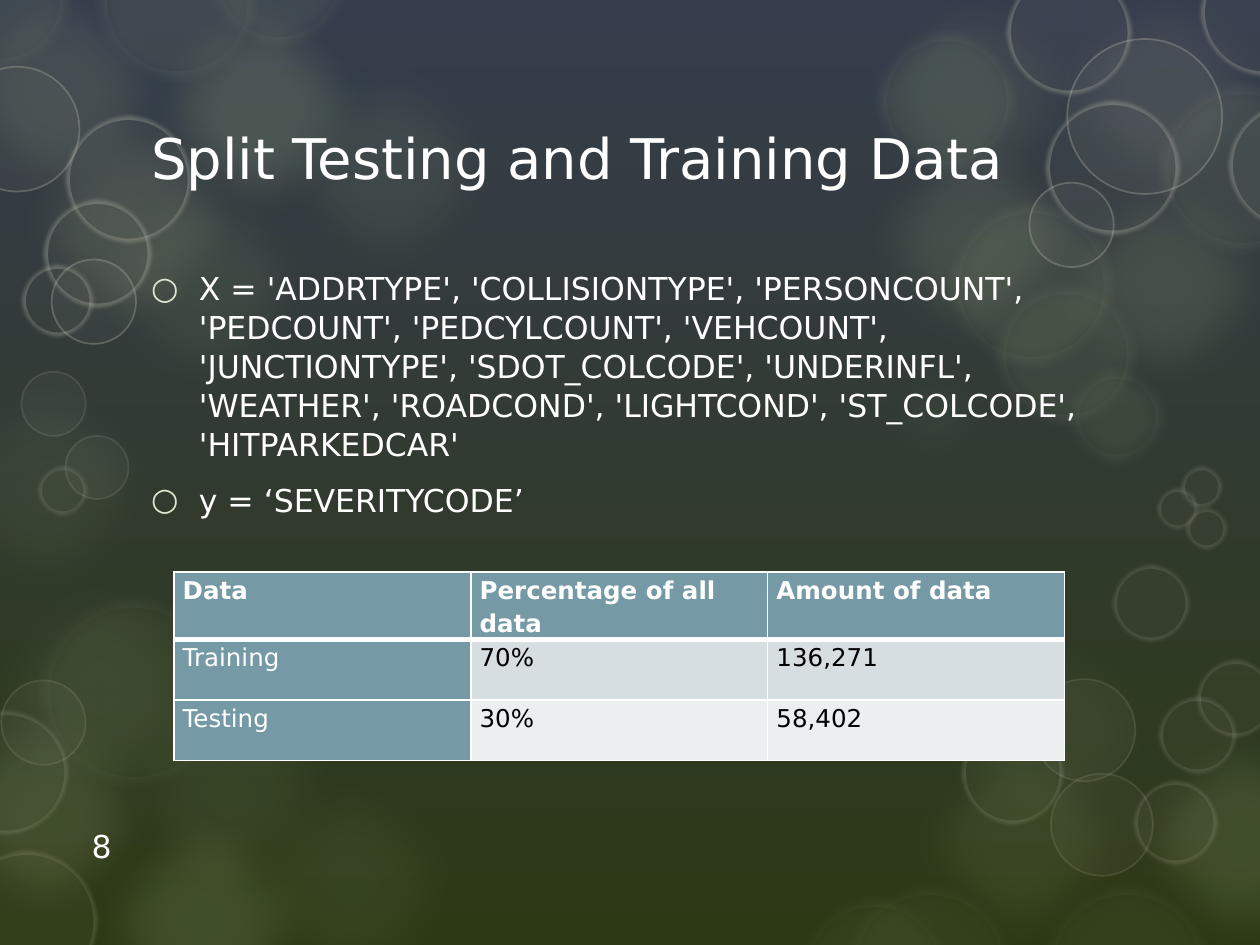
from lxml import etree
from pptx import Presentation
from pptx.dml.color import RGBColor
from pptx.enum.shapes import MSO_SHAPE
from pptx.enum.text import MSO_ANCHOR
from pptx.oxml.ns import qn
from pptx.util import Inches, Pt

ELLIPSE = MSO_SHAPE.OVAL
TOP, MIDDLE, BOTTOM = MSO_ANCHOR.TOP, MSO_ANCHOR.MIDDLE, MSO_ANCHOR.BOTTOM

THEME = {
    "font": "DejaVu Sans", "title": 32, "body": 18, "table": 14,
    "sky": "353C4C", "ground": "2D3915", "leaf": "AEC089", "stone": "C2C1B2",
    "halo": "ECF0E3", "bullet": "DFE6D0", "white": "FFFFFF", "black": "000000",
    "header": "759AA5", "band1": "D6DEE1", "band2": "ECEFF0",
}

prs = Presentation()
prs.slide_width, prs.slide_height = Inches(10), Inches(7.5)
slide = prs.slides.add_slide(prs.slide_layouts[6])

backdrop = slide.background.fill
backdrop.gradient()
backdrop.gradient_angle = 270
for stop, (tone, position) in zip(backdrop.gradient_stops, (("sky", 0), ("ground", 1))):
    stop.color.rgb = RGBColor.from_string(THEME[tone])
    stop.position = position


def add_bubble(x, y, size, fill, line, soft):
    """Draw a translucent circle; fill and line end in percent opacity."""
    bubble = slide.shapes.add_shape(ELLIPSE, Inches(x), Inches(y), Inches(size), Inches(size))
    bubble.shadow.inherit = False
    paints = [(bubble.fill, *fill)]
    if line:
        bubble.line.width = Pt(line[0])
        paints.append((bubble.line.fill, *line[1:]))
    else:
        bubble.line.fill.background()
    for paint, tone, opacity in paints:
        paint.solid()
        paint.fore_color.rgb = RGBColor.from_string(THEME[tone])
    properties = bubble._element.spPr
    for color, paint in zip(properties.iter(qn("a:srgbClr")), paints):
        etree.SubElement(color, qn("a:alpha"), val=str(paint[2] * 1000))
    if soft:
        effects = properties.find(qn("a:effectLst"))
        etree.SubElement(effects, qn("a:softEdge"), rad=str(Pt(soft)))


def add_run(paragraph, text, size, tone="white", bold=False):
    """Append a styled run to a paragraph."""
    run = paragraph.add_run()
    run.text = text
    run.font.name, run.font.size, run.font.bold = THEME["font"], Pt(THEME[size]), bold
    run.font.color.rgb = RGBColor.from_string(THEME[tone])


# Blurred lights: left, top, opacity
GLOWS = [
    (-0.26, 4.42, 8), (0.57, 1.2, 10), (2.05, 0.31, 10), (0.57, 6.27, 16),
    (-0.56, -0.32, 14), (1.01, -0.18, 20), (0, 0.72, 15), (6.69, -0.29, 10),
    (8.2, 1.2, 15), (8.81, 5.62, 16), (7.29, 4.77, 5), (-0.69, 5.41, 16),
    (0.77, 5.24, 8), (6.69, 0.86, 15), (7.06, 5.62, 10), (1.73, 5.96, 8),
    (-0.69, 2.82, 8),
]
for x, y, opacity in GLOWS:
    add_bubble(x, y, 2.09, ("leaf", opacity), None, 25)
add_bubble(8.2, -0.32, 2.09, ("stone", 10), None, 25)
add_bubble(6.75, 2.62, 1.33, ("leaf", 10), None, 25)

# Soft-rimmed lights: (fill opacity, rim opacity) with left, top, size
HALOS = {
    (10, 6): [
        (9.18, 0.65, 1.37), (6.94, 0.23, 1.14), (7.52, 1.59, 1.33), (7.89, 2.24, 1.14),
        (8.47, 2.91, 0.79), (0.75, -0.65, 1.31), (1.64, -0.75, 1.14), (-0.57, -0.58, 1.14),
    ],
    (6, 4): [(0.3, 4.73, 1.53), (6.32, 7.1, 1.24), (6.69, 7.01, 1.37), (8.26, 7.01, 1.37)],
}
for (opacity, rim), places in HALOS.items():
    for x, y, size in places:
        add_bubble(x, y, size, ("leaf", opacity), (14, "halo", rim), 10)

# Rings: (line width, line opacity) with left, top, size
RINGS = {
    (1, 15): [
        (0.01, 5.4, 0.67), (8.34, 6.14, 0.81), (8.2, 5.39, 0.81), (0.17, 2.95, 0.51),
        (0.52, 3.46, 0.5),
    ],
    (5, 15): [
        (-0.35, 6.75, 1.12), (-0.44, 5.64, 0.98), (7.63, 5.73, 0.81), (9, 6.2, 0.66),
        (8.83, 4.48, 0.61), (9.2, 5.53, 0.61), (9.5, 5.24, 0.61), (9.37, 3.7, 0.33),
        (9.18, 3.87, 0.33), (9.41, 4.03, 0.33), (0.3, 3.7, 0.39),
    ],
    (1, 30): [(-0.36, 0.53, 0.99), (0.41, 2.06, 0.67), (8.47, 0.31, 1.23), (8.17, 1.45, 0.67)],
    (5, 30): [
        (0.52, 0.92, 1), (0.35, 1.59, 0.85), (0.17, 2.1, 0.57), (7.99, -0.24, 0.99),
        (9.53, -0.4, 1), (9.75, 0.82, 0.99), (8.3, 0.8, 1.06),
    ],
}
for (width, opacity), places in RINGS.items():
    for x, y, size in places:
        add_bubble(x, y, size, ("stone", 5), (width, "stone", opacity), 2.5 if width == 5 else 0)

# Title, variables and page number
FEATURES = [
    "ADDRTYPE", "COLLISIONTYPE", "PERSONCOUNT", "PEDCOUNT", "PEDCYLCOUNT", "VEHCOUNT",
    "JUNCTIONTYPE", "SDOT_COLCODE", "UNDERINFL", "WEATHER", "ROADCOND", "LIGHTCOND",
    "ST_COLCODE", "HITPARKEDCAR",
]
variables = ["X = " + ", ".join(f"'{feature}'" for feature in FEATURES), "y = ‘SEVERITYCODE’"]
TEXTS = [
    ((1.1, 0.74, 7.79, 1.01), MIDDLE, "title", ["Split Testing and Training Data"], False),
    ((1.1, 1.98, 7.79, 4.43), TOP, "body", variables, True),
    ((0.63, 6.51, 0.67, 0.4), BOTTOM, "body", ["8"], False),
]
for place, anchor, size, lines, bulleted in TEXTS:
    frame = slide.shapes.add_textbox(*map(Inches, place)).text_frame
    frame.word_wrap, frame.vertical_anchor = True, anchor
    for number, line in enumerate(lines):
        paragraph = frame.add_paragraph() if number else frame.paragraphs[0]
        add_run(paragraph, line, size)
        if bulleted:
            frame.margin_top = Inches(0.15)
            paragraph.space_before, paragraph.space_after = Pt(3.6), Pt(6)
            paragraph.line_spacing = 1.03
            settings = paragraph._p.get_or_add_pPr()
            settings.set("marL", str(Inches(0.38)))
            settings.set("indent", str(-Inches(0.38)))
            bullet_color = etree.SubElement(settings, qn("a:buClr"))
            etree.SubElement(bullet_color, qn("a:srgbClr"), val=THEME["bullet"])
            etree.SubElement(settings, qn("a:buFont"), typeface=THEME["font"])
            etree.SubElement(settings, qn("a:buChar"), char="○")

# Split table
SPLIT = [
    ("Data", "Percentage of all data", "Amount of data"),
    ("Training", "70%", "136,271"),
    ("Testing", "30%", "58,402"),
]
BANDS = ("header", "band1", "band2")
table = slide.shapes.add_table(
    3, 3, Inches(1.38), Inches(4.54), Inches(7.07), Inches(1.44)).table
for r, row in enumerate(SPLIT):
    table.rows[r].height = Inches(0.48)
    for c, text in enumerate(row):
        cell = table.cell(r, c)
        cell.margin_left = cell.margin_right = Inches(0.07)
        cell.margin_top = cell.margin_bottom = 0
        borders = {"lnL": 1, "lnR": 1, "lnT": 3 if r == 1 else 1, "lnB": 3 if r == 0 else 1}
        for side, width in borders.items():
            border = etree.SubElement(cell._tc.get_or_add_tcPr(), qn("a:" + side), w=str(Pt(width)))
            paint = etree.SubElement(border, qn("a:solidFill"))
            etree.SubElement(paint, qn("a:srgbClr"), val=THEME["white"])
        cell.fill.solid()
        band = "header" if c == 0 else BANDS[r]
        cell.fill.fore_color.rgb = RGBColor.from_string(THEME[band])
        paragraph = cell.text_frame.paragraphs[0]
        paragraph.line_spacing = 1.15
        add_run(paragraph, text, "table", "white" if band == "header" else "black", r == 0)

prs.save("out.pptx")
